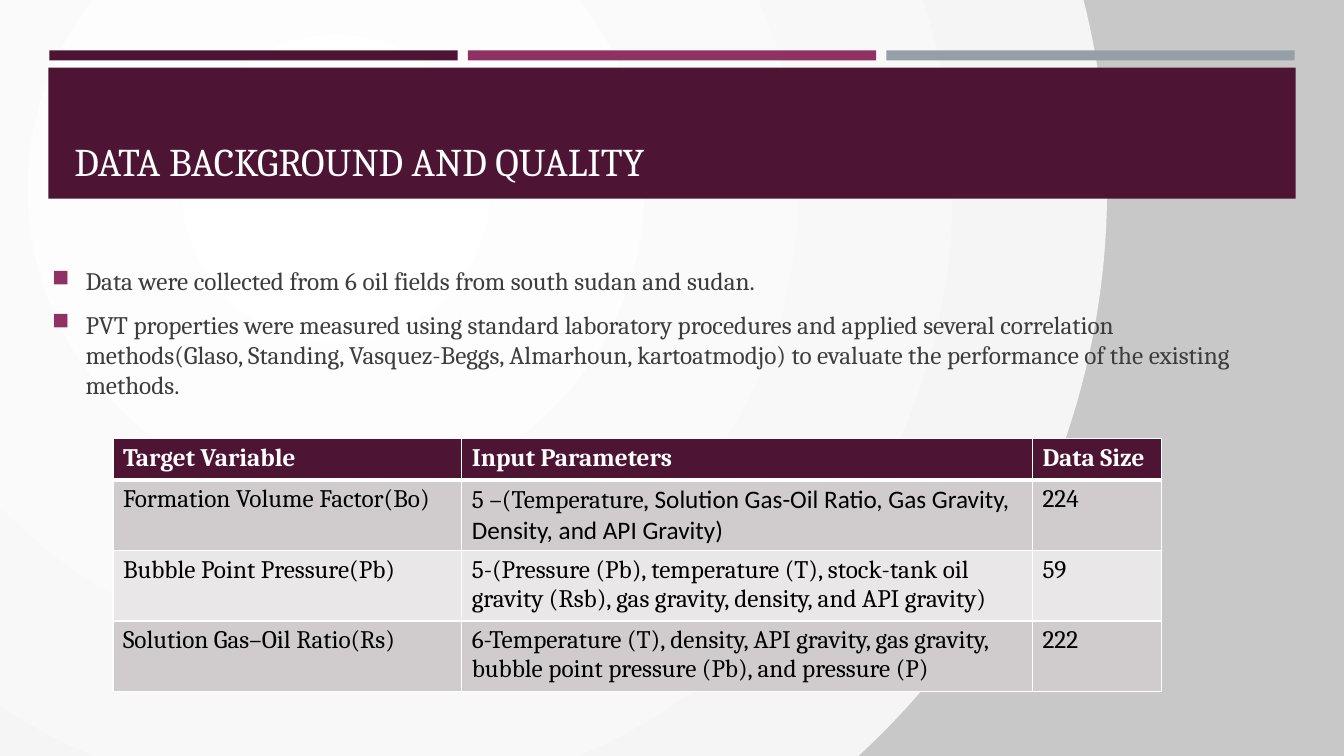
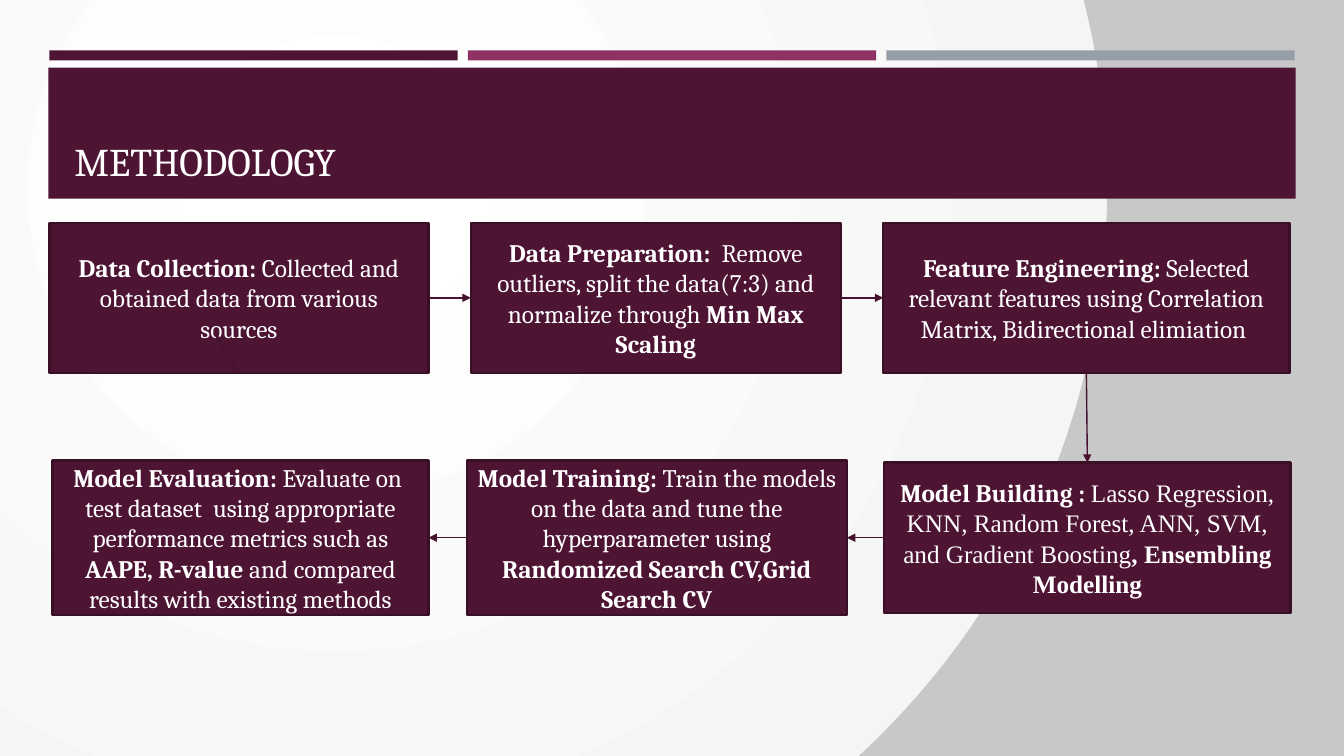
from dataclasses import dataclass

from lxml.etree import SubElement
from pptx import Presentation
from pptx.dml.color import RGBColor
from pptx.enum.shapes import MSO_CONNECTOR, MSO_SHAPE
from pptx.enum.text import MSO_ANCHOR as Anchor, PP_ALIGN as Align
from pptx.oxml import parse_xml
from pptx.oxml.ns import nsdecls, qn
from pptx.util import Inches, Pt

TOP, LEFT, BOTTOM, RIGHT = range(4)


@dataclass(frozen=True)
class Theme:
    plum: str = "4D1434"
    plum_edge: str = "390F26"
    arrow: str = "45122F"
    magenta: str = "903163"
    slate: str = "969FA7"
    white: str = "FFFFFF"
    black: str = "000000"
    body: str = "3D3D3D"
    row_dark: str = "D0CCCE"
    row_light: str = "E9E7E8"
    backdrop: tuple = ((0, "FFFFFF"), (100, "F5F5F5"), (100, "C8C8C8"))
    font: str = "Cambria"
    title_size: int = 28
    text_size: int = 18


@dataclass(frozen=True)
class Span:
    text: str
    bold: bool = False
    font: str = Theme.font


class Deck:
    def __init__(self, theme):
        self.theme = theme
        self.prs = Presentation()
        self.prs.slide_width, self.prs.slide_height = Inches(13.33), Inches(7.5)
        self.slide = None
        self.paint_backdrop()

    def paint_backdrop(self):
        master = self.prs.slide_master
        master.background.fill.solid()
        stops = "".join(
            f'<a:gs pos="{position * 1000}"><a:srgbClr val="{color}"/></a:gs>'
            for position, color in self.theme.backdrop)
        gradient = parse_xml(
            f'<a:gradFill {nsdecls("a")} rotWithShape="1"><a:gsLst>{stops}</a:gsLst>'
            '<a:path path="circle"><a:fillToRect l="50000" t="50000" r="100000" b="100000"/>'
            '</a:path></a:gradFill>')
        solid = next(master.element.iter(qn("p:bgPr"))).find(qn("a:solidFill"))
        solid.getparent().replace(solid, gradient)

    def add_slide(self, title):
        theme = self.theme
        self.slide = self.prs.slides.add_slide(self.prs.slide_layouts[6])
        for column, color in enumerate((theme.plum, theme.magenta, theme.slate)):
            self.rectangle((0.49 + column * 4.15, 0.5, 4.05, 0.1), color)
        self.rectangle((0.48, 0.67, 12.37, 1.3), theme.plum)
        heading = self.text_frame((0.64, 0.77, 12.06, 1.11), Anchor.BOTTOM)
        self.add_spans(heading.paragraphs[0], [Span(title)], theme.white, theme.title_size)

    def rectangle(self, area, color, edge=None):
        shape = self.slide.shapes.add_shape(MSO_SHAPE.RECTANGLE, *map(Inches, area))
        shape.shadow.inherit = False
        shape.fill.solid()
        shape.fill.fore_color.rgb = RGBColor.from_string(color)
        if edge:
            shape.line.color.rgb = RGBColor.from_string(edge)
            shape.line.width = Pt(1.75)
        else:
            shape.line.fill.background()
        return shape

    def text_frame(self, area, anchor):
        frame = self.slide.shapes.add_textbox(*map(Inches, area)).text_frame
        frame.word_wrap = True
        frame.vertical_anchor = anchor
        return frame

    def add_spans(self, paragraph, spans, color, size=Theme.text_size):
        for span in spans:
            run = paragraph.add_run()
            run.text = span.text
            run.font.name = span.font
            run.font.size = Pt(size)
            run.font.bold = span.bold
            run.font.color.rgb = RGBColor.from_string(color)

    def bullets(self, area, items):
        frame = self.text_frame(area, Anchor.MIDDLE)
        for index, item in enumerate(items):
            paragraph = frame.add_paragraph() if index else frame.paragraphs[0]
            paragraph.space_before, paragraph.space_after = Pt(3.6), Pt(6)
            self.add_spans(paragraph, [Span(item)], self.theme.body)
            props = paragraph._p.get_or_add_pPr()
            indent = Inches(0.33)
            props.set("marL", str(indent))
            props.set("indent", str(-indent))
            marker = SubElement(props, qn("a:buClr"))
            SubElement(marker, qn("a:srgbClr"), val=self.theme.magenta)
            SubElement(props, qn("a:buSzPct"), val="92000")
            SubElement(props, qn("a:buChar"), char="■")

    def table(self, left, top, widths, heights, rows):
        theme = self.theme
        table = self.slide.shapes.add_table(
            len(rows), len(widths), Inches(left), Inches(top),
            Inches(sum(widths)), Inches(sum(heights))).table
        table.horz_banding = False
        for column, width in zip(table.columns, widths):
            column.width = Inches(width)
        for index, (row, height) in enumerate(zip(rows, heights)):
            table.rows[index].height = Inches(height)
            header = index == 0
            fill = theme.plum if header else (theme.row_light, theme.row_dark)[index % 2]
            for column, spans in enumerate(row):
                cell = table.cell(index, column)
                self.cell_borders(cell, top=3 if index == 1 else 1, bottom=3 if header else 1)
                cell.fill.solid()
                cell.fill.fore_color.rgb = RGBColor.from_string(fill)
                self.add_spans(cell.text_frame.paragraphs[0], spans,
                               theme.white if header else theme.black)

    def cell_borders(self, cell, top, bottom):
        props = cell._tc.get_or_add_tcPr()
        for side, width in (("L", 1), ("R", 1), ("T", top), ("B", bottom)):
            border = SubElement(props, qn(f"a:ln{side}"), w=str(Pt(width)))
            paint = SubElement(border, qn("a:solidFill"))
            SubElement(paint, qn("a:srgbClr"), val=self.theme.white)

    def step(self, area, spans):
        box = self.rectangle(area, self.theme.plum, self.theme.plum_edge)
        frame = box.text_frame
        frame.word_wrap = True
        frame.vertical_anchor = Anchor.MIDDLE
        frame.paragraphs[0].alignment = Align.CENTER
        self.add_spans(frame.paragraphs[0], spans, self.theme.white)
        return box

    def arrow(self, source, source_side, target=None, target_side=None, tip=(0, 0)):
        end_x, end_y = map(Inches, tip)
        arrow = self.slide.shapes.add_connector(
            MSO_CONNECTOR.STRAIGHT, source.left, source.top, end_x, end_y)
        arrow.begin_connect(source, source_side)
        if target is not None:
            arrow.end_connect(target, target_side)
        arrow.line.color.rgb = RGBColor.from_string(self.theme.arrow)
        arrow.line.width = Pt(1)
        props = arrow._element.spPr
        SubElement(props.find(qn("a:ln")), qn("a:tailEnd"), type="triangle")
        SubElement(props, qn("a:effectLst"))


def data_slide(deck):
    deck.add_slide("DATA BACKGROUND AND QUALITY")
    deck.bullets((0.42, 2.5, 12.06, 1.6), [
        "Data were collected from 6 oil fields from south sudan and sudan.",
        "PVT properties were measured using standard laboratory procedures and applied "
        "several correlation methods(Glaso, Standing, Vasquez-Beggs, Almarhoun, "
        "kartoatmodjo) to evaluate the performance of the existing methods.",
    ])
    header = [[Span(label, bold=True)]
              for label in ("Target Variable", "Input Parameters", "Data Size")]
    variables = [
        ("Formation Volume Factor(Bo)",
         [Span("5 –(Temperature,"),
          Span(" Solution Gas-Oil Ratio, Gas Gravity, Density, and API Gravity)",
               font="Calibri")], "224"),
        ("Bubble Point Pressure(Pb)",
         [Span("5-(Pressure (Pb), temperature (T), stock-tank oil gravity (Rsb), "
               "gas gravity, density, and API gravity)")], "59"),
        ("Solution Gas–Oil Ratio(Rs)",
         [Span("6-Temperature (T), density, API gravity, gas gravity, "
               "bubble point pressure (Pb), and pressure (P)")], "222"),
    ]
    rows = [header] + [[[Span(target)], inputs, [Span(size)]]
                       for target, inputs, size in variables]
    deck.table(1.12, 4.35, (3.46, 5.66, 1.28), (0.41, 0.7, 0.67, 0.67), rows)


def methodology_slide(deck):
    deck.add_slide("METHODOLOGY")
    collection = deck.step((0.49, 2.21, 3.76, 1.49), [
        Span("Data Collection: ", True),
        Span("Collected and obtained data from various sources")])
    deck.arrow(collection, BOTTOM, tip=(2.14, 3.32))
    preparation = deck.step((4.67, 2.21, 3.67, 1.49), [
        Span("Data Preparation:  ", True),
        Span("Remove outliers, split the data(7:3) and normalize through "),
        Span("Min Max Scaling", True)])
    features = deck.step((8.76, 2.21, 4.03, 1.49), [
        Span("Feature Engineering: ", True),
        Span("Selected relevant features using Correlation Matrix, "
             "Bidirectional elimiation ")])
    building = deck.step((8.77, 4.59, 4.03, 1.49), [
        Span("Model Building : ", True),
        Span("Lasso Regression, KNN, Random Forest, ANN, SVM, and Gradient Boosting",
             font="Times New Roman"),
        Span(", Ensembling Modelling", True, "Times New Roman")])
    training = deck.step((4.63, 4.57, 3.77, 1.53), [
        Span("Model Training: ", True),
        Span("Train the models on the data and tune the hyperparameter using "),
        Span("Randomized Search CV,Grid Search CV", True)])
    evaluation = deck.step((0.52, 4.57, 3.73, 1.53), [
        Span("Model Evaluation: ", True),
        Span("Evaluate on  test dataset  using appropriate performance metrics such as "),
        Span("AAPE, R-value ", True),
        Span("and compared results with existing methods")])
    for link in (
        (collection, RIGHT, preparation, LEFT),
        (preparation, RIGHT, features, LEFT),
        (features, BOTTOM, building, TOP),
        (building, LEFT, training, RIGHT),
        (training, LEFT, evaluation, RIGHT),
    ):
        deck.arrow(*link)


def main():
    deck = Deck(Theme())
    data_slide(deck)
    methodology_slide(deck)
    deck.prs.save("out.pptx")


if __name__ == "__main__":
    main()
